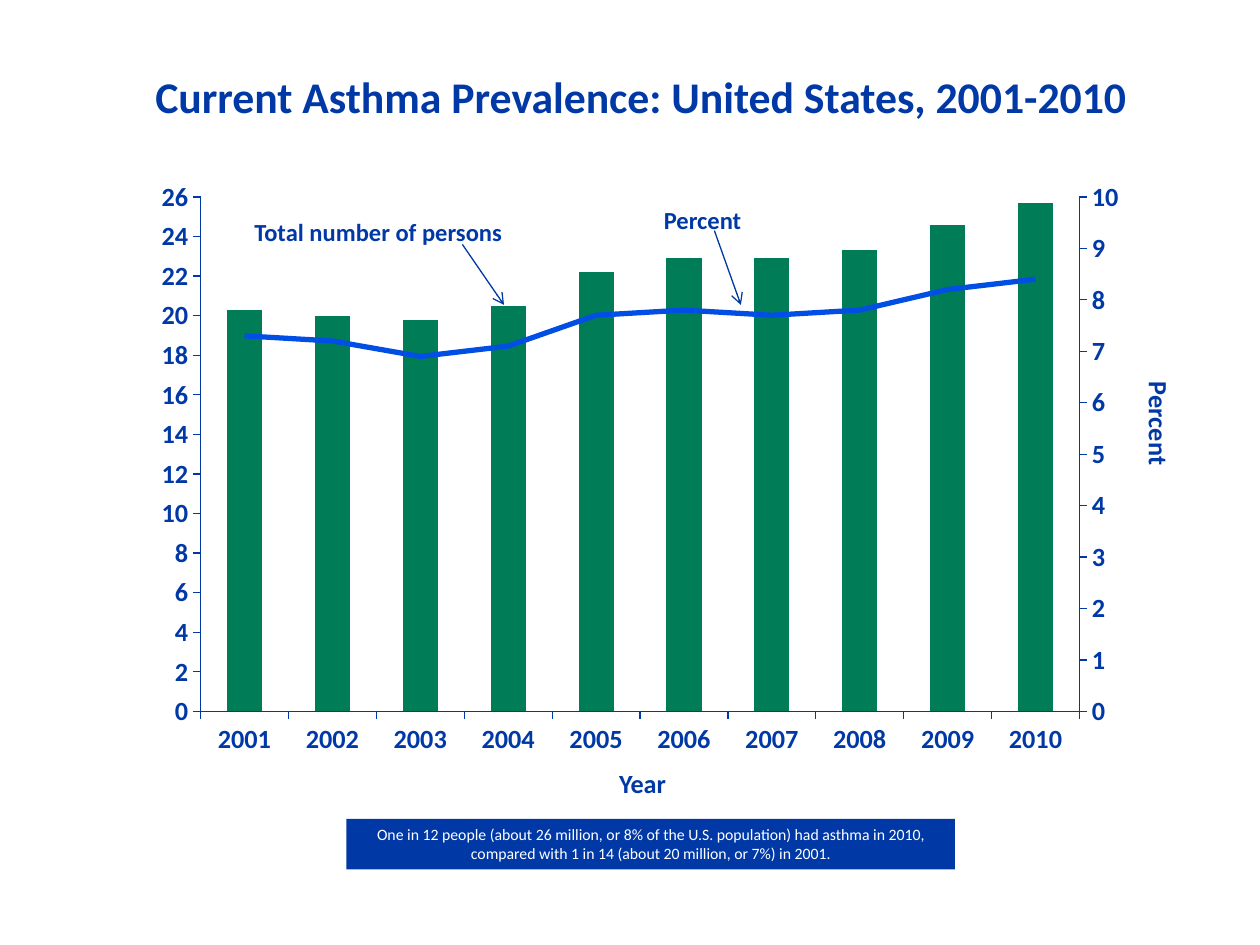
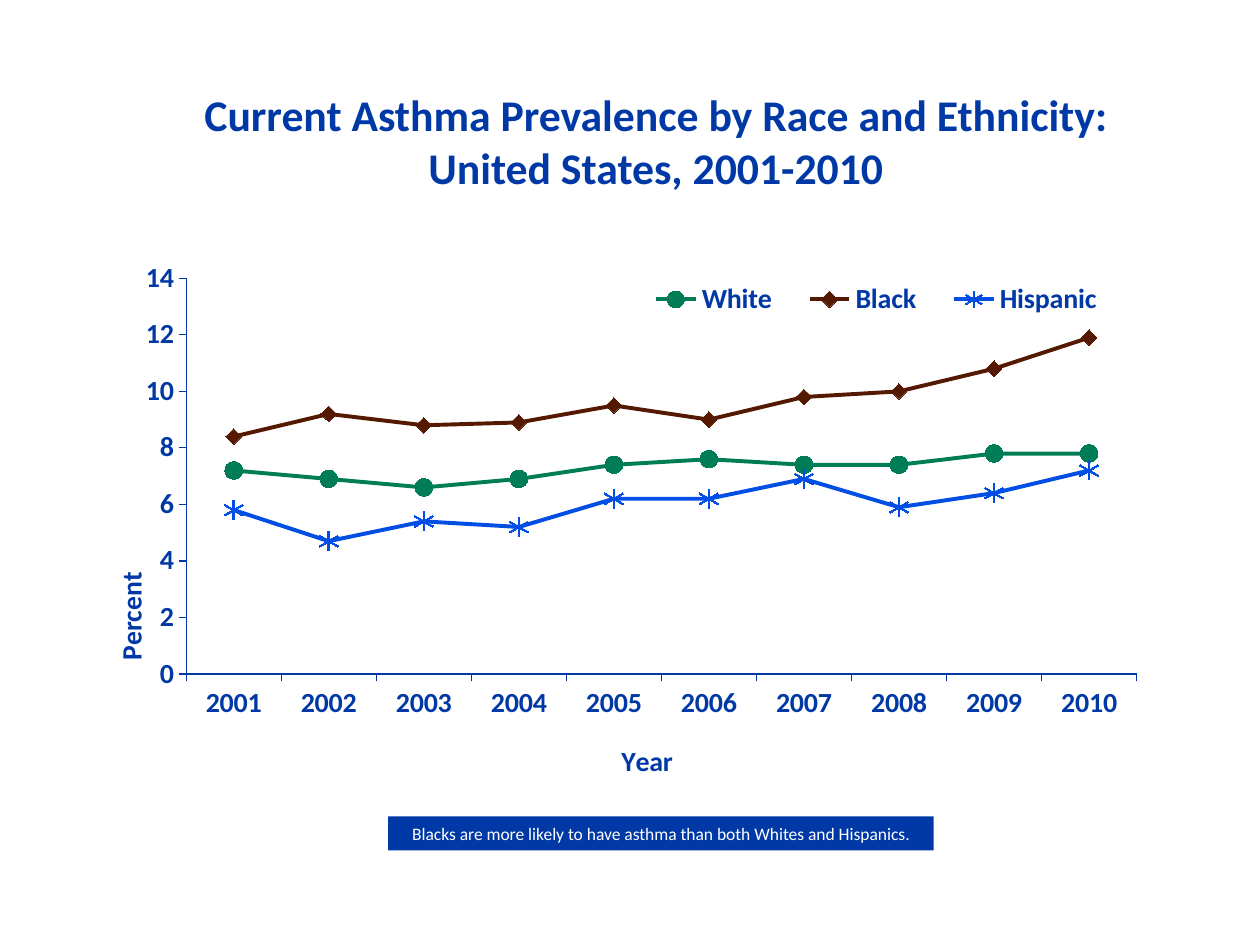
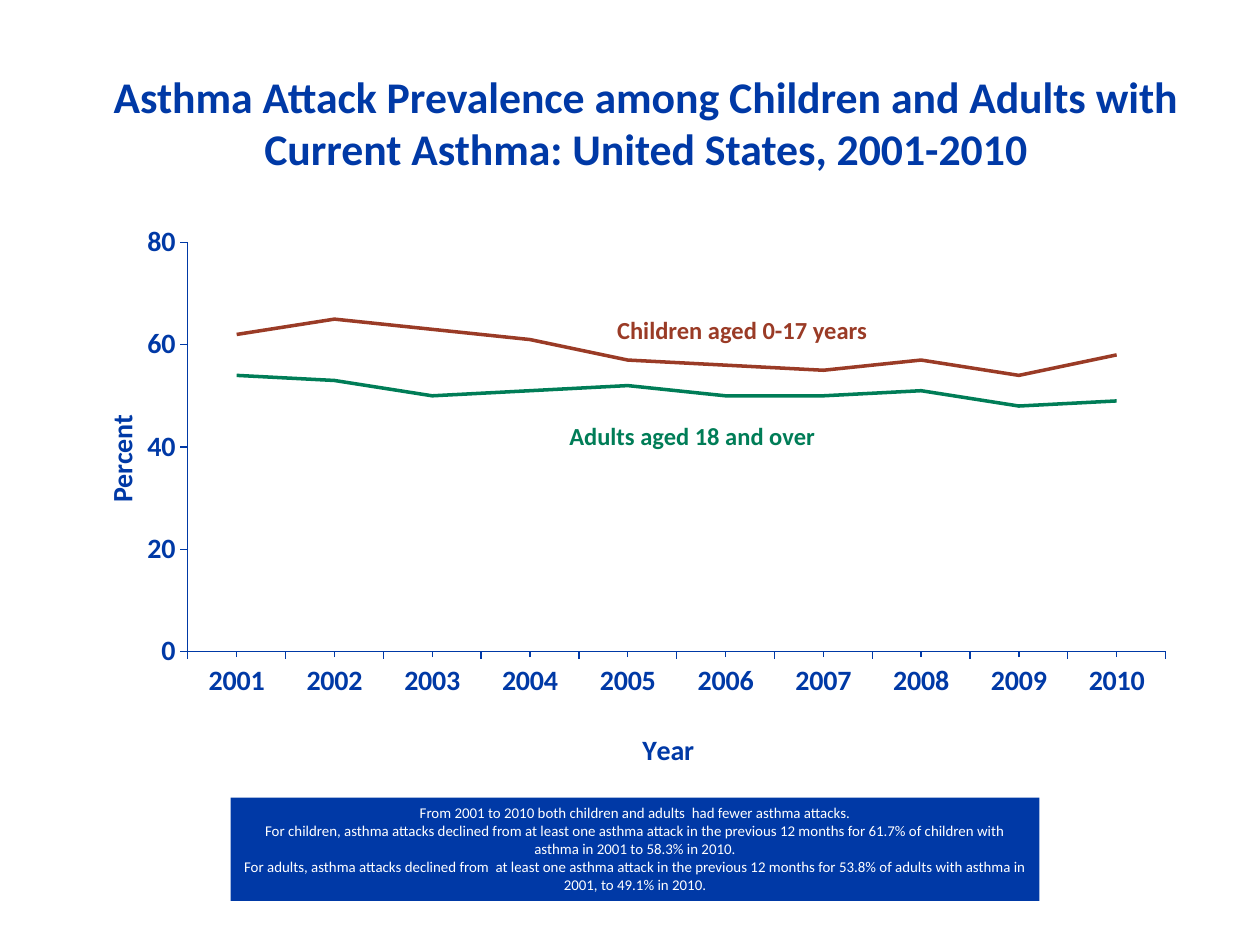
from copy import deepcopy

from pptx import Presentation
from pptx.chart.axis import CategoryAxis, ValueAxis
from pptx.chart.data import CategoryChartData
from pptx.dml.color import RGBColor
from pptx.enum.chart import XL_CHART_TYPE as ChartType
from pptx.enum.chart import XL_LEGEND_POSITION as LegendPosition
from pptx.enum.chart import XL_MARKER_STYLE as Marker
from pptx.enum.chart import XL_TICK_MARK as Tick
from pptx.enum.shapes import MSO_CONNECTOR as Connector
from pptx.enum.shapes import MSO_SHAPE as Shape
from pptx.enum.text import MSO_ANCHOR as Anchor
from pptx.enum.text import MSO_AUTO_SIZE as AutoSize
from pptx.enum.text import PP_ALIGN as Align
from pptx.oxml import parse_xml
from pptx.oxml.ns import nsdecls, qn
from pptx.util import Inches, Pt

FONT = "Calibri"
BLUE = "0039A6"
ARROW_BLUE = "0038A2"
LINE_BLUE = "004EE3"
GREEN = "007D57"
BROWN = "541900"
RUST = "9A3B26"
WHITE = "FFFFFF"
YEARS = [str(year) for year in range(2001, 2011)]
TITLE_ONLY = 5


def color(hex_code):
    return RGBColor.from_string(hex_code)


def style_font(font, size, hex_code=BLUE, bold=True):
    font.name = FONT
    font.size = Pt(size)
    font.bold = bold
    font.color.rgb = color(hex_code)


def write(frame, text, size, hex_code=BLUE, bold=True, align=Align.LEFT):
    frame.text = text
    for paragraph in frame.paragraphs:
        paragraph.alignment = align
        for run in paragraph.runs:
            style_font(run.font, size, hex_code, bold)


def add_titled_slide(prs, text, box):
    slide = prs.slides.add_slide(prs.slide_layouts[TITLE_ONLY])
    title = slide.shapes.title
    title.left, title.top, title.width, title.height = map(Inches, box)
    frame = title.text_frame
    frame.word_wrap = True
    frame.auto_size = AutoSize.NONE
    frame.vertical_anchor = Anchor.TOP
    write(frame, text, 25, align=Align.CENTER)
    return slide


def add_label(slide, text, box, size=14, hex_code=BLUE, wrap=True, align=Align.LEFT):
    frame = slide.shapes.add_textbox(*map(Inches, box)).text_frame
    frame.word_wrap = wrap
    write(frame, text, size, hex_code, align=align)


def add_note(slide, text, box, size):
    """Add the blue takeaway band under a chart."""
    note = slide.shapes.add_shape(Shape.RECTANGLE, *map(Inches, box))
    note.shadow.inherit = False
    note.fill.solid()
    note.fill.fore_color.rgb = color(BLUE)
    note.line.fill.background()
    frame = note.text_frame
    frame.word_wrap = True
    frame.vertical_anchor = Anchor.TOP
    write(frame, text, size, WHITE, bold=False, align=Align.CENTER)


def add_arrow(slide, start, end):
    arrow = slide.shapes.add_connector(Connector.STRAIGHT, *map(Inches, start + end))
    arrow.line.color.rgb = color(ARROW_BLUE)
    arrow.line.width = Pt(0.75)
    arrow.line._get_or_add_ln().append(
        parse_xml(f'<a:tailEnd {nsdecls("a")} type="arrow"/>'))
    arrow._element.spPr.append(parse_xml(f'<a:effectLst {nsdecls("a")}/>'))


def set_layout(element, index, x, y, size=None, inner=False):
    """Place a chart part by fractions of the chart's width and height."""
    old = element.find(qn("c:layout"))
    if old is not None:
        element.remove(old)
    fields = [("layoutTarget", "inner")] if inner else []
    fields += [("xMode", "edge"), ("yMode", "edge"), ("x", x), ("y", y)]
    if size:
        fields += zip("wh", size)
    body = "".join(f'<c:{tag} val="{value}"/>' for tag, value in fields)
    element.insert(index, parse_xml(
        f'<c:layout {nsdecls("c")}><c:manualLayout>{body}</c:manualLayout></c:layout>'))


def title_axis(axis, text, size, x, y, degrees=0):
    title = axis.axis_title
    write(title.text_frame, text, size, align=Align.CENTER)
    body = title._element.find(".//" + qn("a:bodyPr"))
    body.set("rot", str(degrees * 60000))
    body.set("vert", "horz")
    set_layout(title._element, 1, x, y)


def style_axis(axis, size):
    axis.has_major_gridlines = False
    axis.major_tick_mark = Tick.OUTSIDE
    axis.minor_tick_mark = Tick.NONE
    axis.format.line.color.rgb = color(BLUE)
    axis.format.line.width = Pt(0.75)
    style_font(axis.tick_labels.font, size)


def scale_axis(axis, top, step):
    axis.minimum_scale = 0
    axis.maximum_scale = top
    axis.major_unit = step


def add_chart(slide, kind, series, box, plot_area, size, top, step):
    data = CategoryChartData()
    data.categories = YEARS
    for name, values in series.items():
        data.add_series(name, values)
    chart = slide.shapes.add_chart(kind, *map(Inches, box), data).chart
    chart.has_title = False
    chart.has_legend = False
    style_font(chart.font, size)
    chart.plots[0].vary_by_categories = False
    for axis in (chart.category_axis, chart.value_axis):
        style_axis(axis, size)
    scale_axis(chart.value_axis, top, step)
    x, y, *extent = plot_area
    set_layout(chart._chartSpace.chart.plotArea, 0, x, y, extent, inner=True)
    return chart


def style_line(series, hex_code, width, marker=Marker.NONE, marker_size=None):
    series.smooth = False
    series.format.line.color.rgb = color(hex_code)
    series.format.line.width = Pt(width)
    series.marker.style = marker
    if marker_size:
        series.marker.size = marker_size
        series.marker.format.fill.solid()
        series.marker.format.fill.fore_color.rgb = color(hex_code)
        series.marker.format.line.fill.background()


def move_last_series_to_right_axis(chart):
    """Turn the last column series into a line and return its value axis."""
    bars = chart.plots[0]._element
    series = bars.findall(qn("c:ser"))[-1]
    line_plot = parse_xml(
        f'<c:lineChart {nsdecls("c")}><c:grouping val="standard"/>'
        '<c:varyColors val="0"/><c:marker val="1"/>'
        '<c:axId val="5001"/><c:axId val="5002"/></c:lineChart>')
    for bar_only in series.findall(qn("c:invertIfNegative")):
        series.remove(bar_only)
    line_plot.insert(2, series)
    bars.addnext(line_plot)

    left = chart.value_axis._element
    years = deepcopy(chart.category_axis._element)
    right = deepcopy(left)
    for axis, own_id, cross_id in ((years, "5001", "5002"), (right, "5002", "5001")):
        axis.find(qn("c:axId")).set("val", own_id)
        axis.find(qn("c:crossAx")).set("val", cross_id)
    right.find(qn("c:axPos")).set("val", "r")
    right.find(qn("c:crosses")).set("val", "max")
    left.addnext(right)
    right.addnext(years)
    CategoryAxis(years).visible = False
    return ValueAxis(right)


def build_overall_prevalence(prs):
    slide = add_titled_slide(prs, "Current Asthma Prevalence: United States, 2001-2010",
                             (0.92, 0.5, 8.33, 0.52))
    chart = add_chart(
        slide, ChartType.COLUMN_CLUSTERED,
        {"Series 1": (20.3, 20, 19.8, 20.5, 22.2, 22.9, 22.9, 23.3, 24.6, 25.7),
         "Series 2": (7.3, 7.2, 6.9, 7.1, 7.7, 7.8, 7.7, 7.8, 8.2, 8.4)},
        (0.72, 1.17, 8.72, 4.92), (0.1, 0.08, 0.8, 0.83), 15, top=26, step=2)
    percent_axis = move_last_series_to_right_axis(chart)
    scale_axis(percent_axis, 10, 1)
    title_axis(chart.value_axis, "Total number of persons in millions", 15,
               0.02, 0.21, -90)
    title_axis(percent_axis, "Percent", 15, 0.95, 0.37, 90)

    persons, percent = chart.plots
    persons.gap_width = 150
    persons.series[0].format.fill.solid()
    persons.series[0].format.fill.fore_color.rgb = color(GREEN)
    style_line(percent.series[0], LINE_BLUE, 3)

    add_label(slide, "Total number of persons", (1.92, 1.67, 3, 0.34))
    add_label(slide, "Percent", (5.17, 1.58, 0.92, 0.34))
    add_arrow(slide, (3.67, 1.94), (4, 2.42))
    add_arrow(slide, (5.67, 1.83), (5.88, 2.42))
    add_label(slide, "Year", (4.78, 6.04, 0.64, 0.37), size=15, wrap=False,
              align=Align.CENTER)
    add_note(slide,
             "One in 12 people (about 26 million, or 8% of the U.S. population) "
             "had asthma in 2010,\n"
             "compared with 1 in 14 (about 20 million, or 7%) in 2001.",
             (2.75, 6.5, 4.83, 0.4), 9)


def build_race_and_ethnicity(prs):
    slide = add_titled_slide(
        prs,
        "Current Asthma Prevalence by Race and Ethnicity:\vUnited States, 2001-2010",
        (0.91, 0.65, 8.59, 1.1))
    chart = add_chart(
        slide, ChartType.LINE_MARKERS,
        {"White": (7.2, 6.9, 6.6, 6.9, 7.4, 7.6, 7.4, 7.4, 7.8, 7.8),
         "Black": (8.4, 9.2, 8.8, 8.9, 9.5, 9, 9.8, 10, 10.8, 11.9),
         "Hispanic": (5.8, 4.7, 5.4, 5.2, 6.2, 6.2, 6.9, 5.9, 6.4, 7.2)},
        (0.58, 2, 8.98, 4.25), (0.1, 0.05, 0.84, 0.75), 16, top=14, step=2)
    for crossing in chart.value_axis._element.findall(qn("c:crossBetween")):
        crossing.set("val", "midCat")
    title_axis(chart.category_axis, "Year", 16, 0.48, 0.92)
    title_axis(chart.value_axis, "Percent", 16, 0.03, 0.6, -90)
    looks = ((GREEN, Marker.CIRCLE, 10), (BROWN, Marker.DIAMOND, 9),
             (LINE_BLUE, Marker.STAR, 11))
    for group, (hex_code, marker, size) in zip(chart.series, looks):
        style_line(group, hex_code, 2.25, marker, size)

    chart.has_legend = True
    chart.legend.position = LegendPosition.RIGHT
    chart.legend.include_in_layout = False
    style_font(chart.legend.font, 16)
    set_layout(chart.legend._element, 1, 0.49, 0.05, (0.44, 0.08))
    add_note(slide, "Blacks are more likely to have asthma than both Whites and Hispanics.",
             (3.08, 6.48, 4.33, 0.27), 10)


def build_attack_prevalence(prs):
    slide = add_titled_slide(
        prs,
        "Asthma Attack Prevalence among Children and Adults with "
        "Current Asthma: United States, 2001-2010",
        (0.75, 0.5, 8.75, 0.94))
    chart = add_chart(
        slide, ChartType.LINE,
        {"Series 1": (62, 65, 63, 61, 57, 56, 55, 57, 54, 58),
         "Series 2": (54, 53, 50, 51, 52, 50, 50, 51, 48, 49)},
        (0.42, 1.58, 8.92, 4.92), (0.12, 0.07, 0.87, 0.66), 16, top=80, step=20)
    chart.category_axis.minor_tick_mark = Tick.OUTSIDE
    title_axis(chart.category_axis, "Year", 16, 0.52, 0.85)
    title_axis(chart.value_axis, "Percent", 16, 0.04, 0.34, -90)
    for group, hex_code in zip(chart.series, (RUST, GREEN)):
        style_line(group, hex_code, 2)

    add_label(slide, "Children aged 0-17 years", (4.8, 2.45, 2.54, 0.34), hex_code=RUST)
    add_label(slide, "Adults aged 18 and over", (4.42, 3.29, 3.67, 0.34), hex_code=GREEN)
    add_note(slide,
             "From 2001 to 2010 both children and adults  had fewer asthma attacks.\n"
             "For children, asthma attacks declined from at least one asthma attack in the "
             "previous 12 months for 61.7% of children with asthma in 2001 to 58.3% in 2010.\n"
             "For adults, asthma attacks declined from  at least one asthma attack in the "
             "previous 12 months for 53.8% of adults with asthma in 2001, to 49.1% in 2010.",
             (1.83, 6.33, 6.42, 0.82), 8.5)


def main():
    prs = Presentation()
    prs.slide_width, prs.slide_height = Inches(10), Inches(7.5)
    build_overall_prevalence(prs)
    build_race_and_ethnicity(prs)
    build_attack_prevalence(prs)
    prs.save("out.pptx")


if __name__ == "__main__":
    main()
